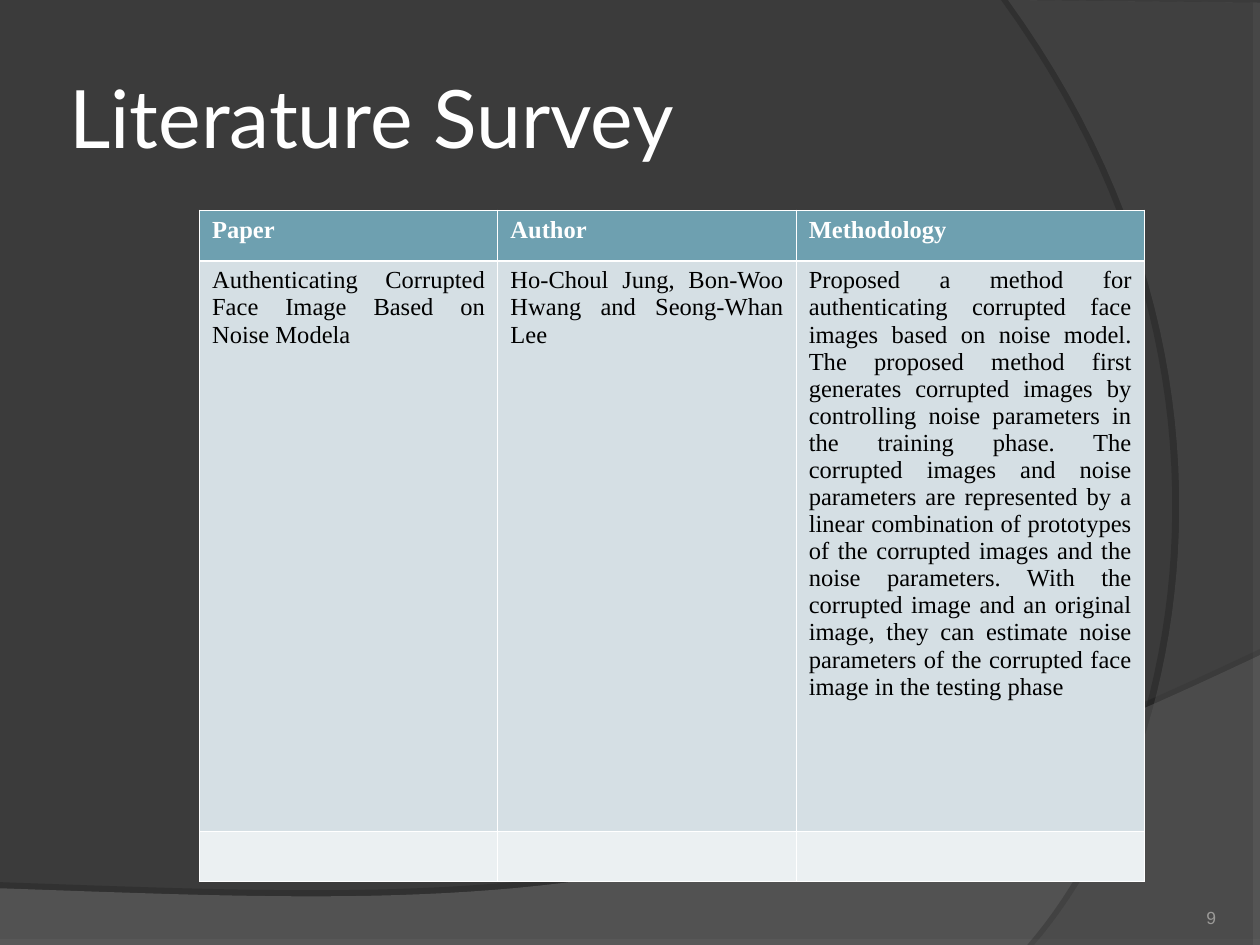
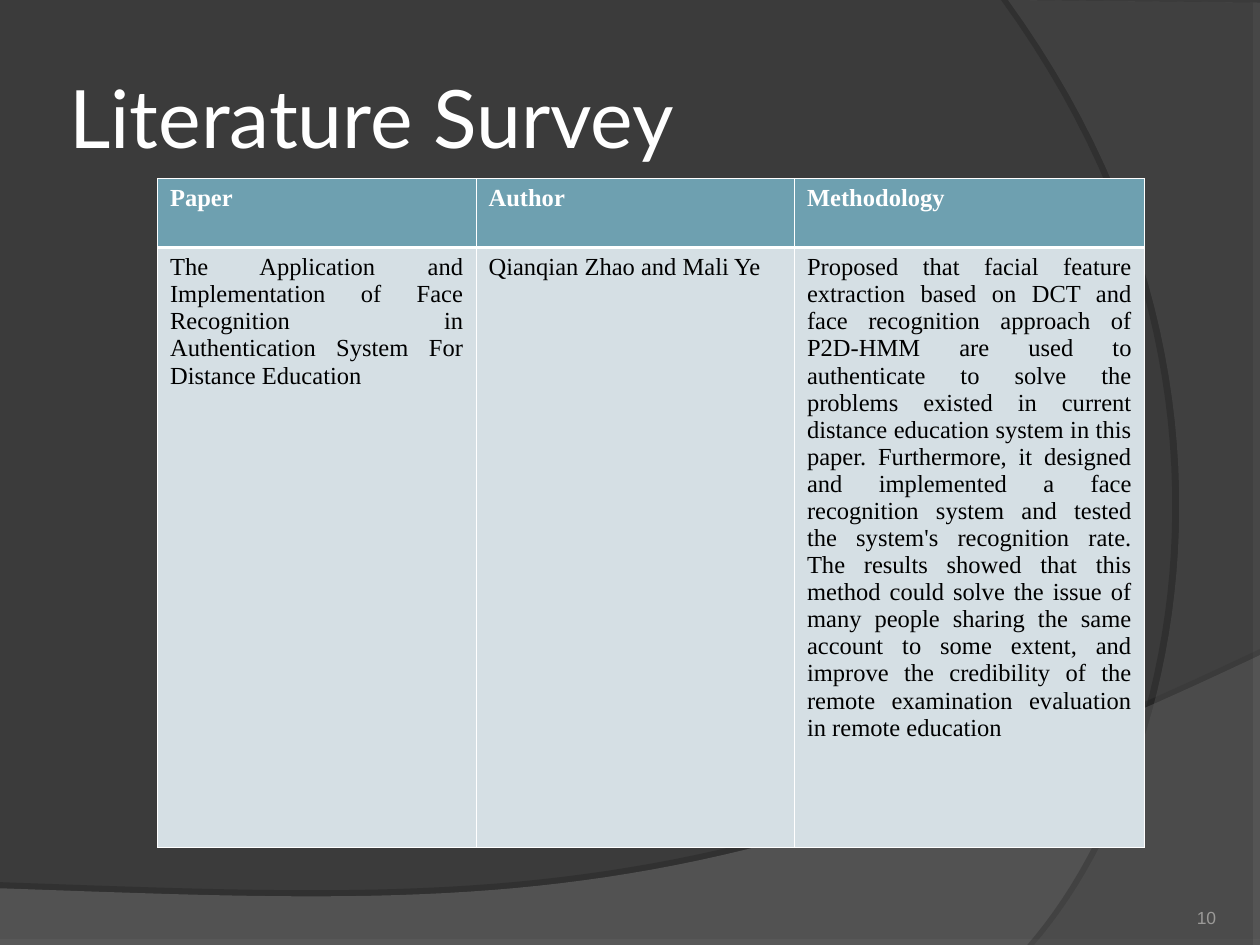
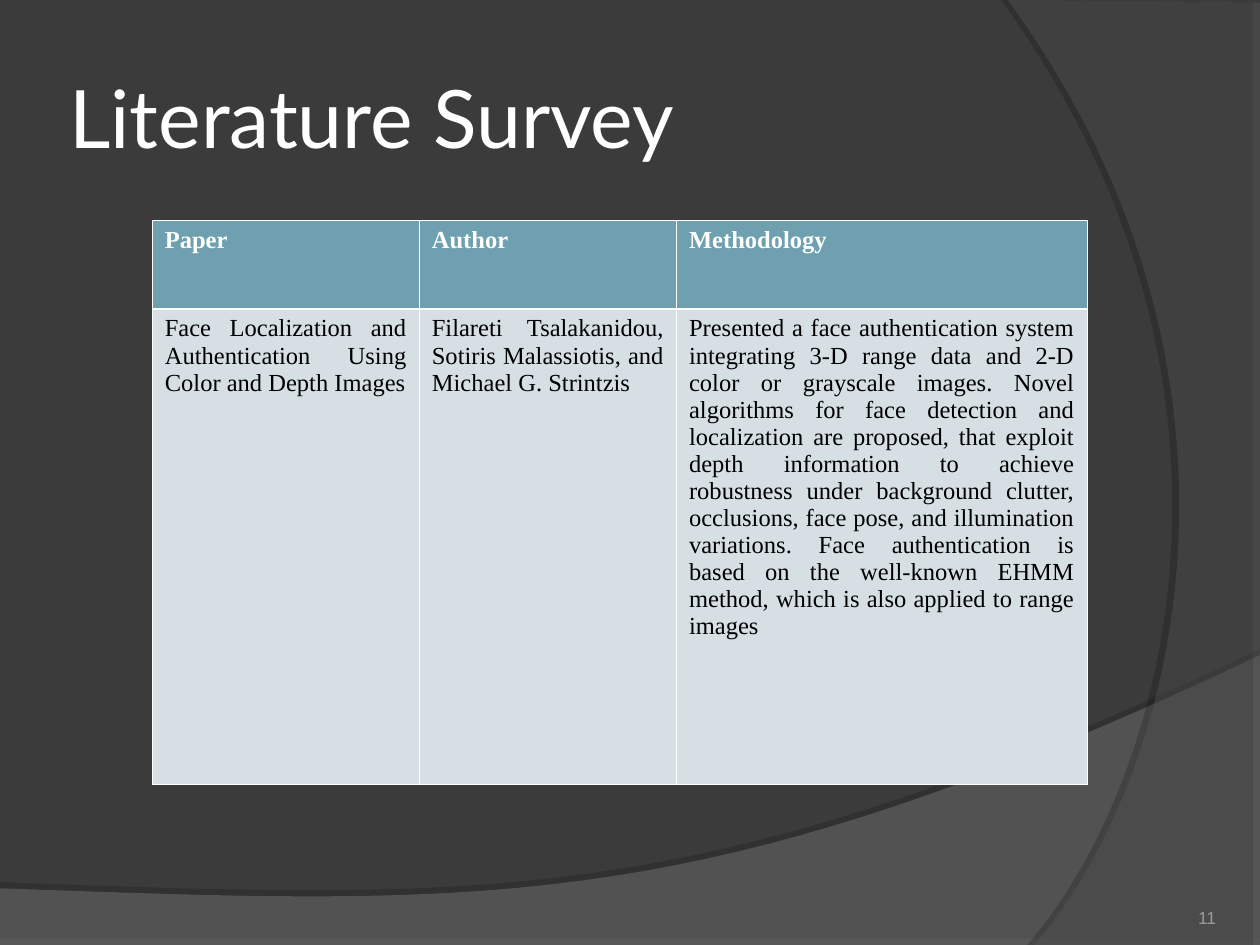
from lxml import etree
from pptx import Presentation
from pptx.dml.color import RGBColor
from pptx.enum.text import MSO_ANCHOR, PP_ALIGN
from pptx.oxml.ns import qn
from pptx.util import Pt

LEFT, RIGHT, JUSTIFY = PP_ALIGN.LEFT, PP_ALIGN.RIGHT, PP_ALIGN.JUSTIFY
MIDDLE, BOTTOM = MSO_ANCHOR.MIDDLE, MSO_ANCHOR.BOTTOM

WIDTH, HEIGHT = 720, 540
COLORS = {
    "background": "3B3B3B",
    "wave": "7C7C7C",
    "arc": "595959",
    "shadow": "000000",
    "header": "6EA0B0",
    "body": "D5DFE4",
    "spare": "EBF0F2",
    "border": "FFFFFF",
    "light": "FFFFFF",
    "dark": "000000",
    "number": "9B9A98",
}
FORMATS = {
    "title": {"name": "Lato", "size": Pt(46), "color": "light"},
    "number": {"name": "Arial", "size": Pt(10), "color": "number"},
    "header": {"name": "Times New Roman", "size": Pt(14), "bold": True, "color": "light"},
    "body": {"name": "Times New Roman", "size": Pt(14), "bold": False, "color": "dark"},
}
THIN, THICK = 0.45, 1.47
CURVE_STEPS = 48
HEADINGS = ["Paper", "Author", "Methodology"]

# Each band: corner points, then the curve from the last corner, then its look
BANDS = [
    {
        "corners": [(0, 507.6), (0, HEIGHT), (WIDTH, HEIGHT), (WIDTH, 374.4)],
        "curve": [(402.5, 524.9), (281.5, 517.7), (0, 507.6)],
        "color": "wave", "opacity": 45,
        "shadow_opacity": 35, "distance": 3.5, "direction": 270,
    },
    {
        "corners": [(WIDTH, 1.5), (WIDTH, HEIGHT), (591, HEIGHT)],
        "curve": [(673, 445.5), (733, 216), (576, 0)],
        "color": "arc", "opacity": 40,
        "shadow_opacity": 45, "distance": 4, "direction": 180,
    },
]

SURVEYS = [
    {
        "number": 9, "position": (114, 120),
        "columns": [170.5, 170.5, 199], "rows": [29, 326, 24],
        "entry": [
            "Authenticating Corrupted Face Image Based on Noise Modela",
            "Ho-Choul Jung, Bon-Woo Hwang and Seong-Whan Lee",
            "Proposed a method for authenticating corrupted face images based on noise "
            "model. The proposed method first generates corrupted images by controlling "
            "noise parameters in the training phase. The corrupted images and noise "
            "parameters are represented by a linear combination of prototypes of the "
            "corrupted images and the noise parameters. With the corrupted image and an "
            "original image, they can estimate noise parameters of the corrupted face "
            "image in the testing phase",
        ],
    },
    {
        "number": 10, "position": (90, 102),
        "columns": [182, 182, 200], "rows": [39.5, 343],
        "entry": [
            "The Application and Implementation of Face Recognition in Authentication "
            "System For Distance Education",
            "Qianqian Zhao and Mali Ye",
            "Proposed that facial feature extraction based on DCT and face recognition "
            "approach of P2D-HMM are used to authenticate to solve the problems existed "
            "in current distance education system in this paper. Furthermore, it designed "
            "and implemented a face recognition system and tested the system's "
            "recognition rate. The results showed that this method could solve the issue "
            "of many people sharing the same account to some extent, and improve the "
            "credibility of the remote examination evaluation in remote education",
        ],
    },
    {
        "number": 11, "position": (87, 126),
        "columns": [152.6, 147, 234.6], "rows": [50.5, 272],
        "entry": [
            "Face Localization and Authentication Using Color and Depth Images",
            "Filareti Tsalakanidou, Sotiris Malassiotis, and Michael G. Strintzis",
            "Presented a face authentication system integrating 3-D range data and 2-D "
            "color or grayscale images. Novel algorithms for face detection and "
            "localization are proposed, that exploit depth information to achieve "
            "robustness under background clutter, occlusions, face pose, and illumination "
            "variations. Face authentication is based on the well-known EHMM method, "
            "which is also applied to range images",
        ],
    },
]


def color(name):
    return RGBColor.from_string(COLORS[name])


def add_xml(parent, tag, **attributes):
    values = {key: str(value) for key, value in attributes.items()}
    return etree.SubElement(parent, qn(tag), values)


def curve_points(start, first, second, end):
    """Points along a cubic curve, without its start."""
    points = []
    for step in range(1, CURVE_STEPS + 1):
        t = step / CURVE_STEPS
        weights = ((1 - t) ** 3, 3 * t * (1 - t) ** 2, 3 * t**2 * (1 - t), t**3)
        points.append(tuple(
            sum(weight * value for weight, value in zip(weights, axis))
            for axis in zip(start, first, second, end)
        ))
    return points


class Deck:
    def __init__(self):
        self.presentation = Presentation()
        self.presentation.slide_width = Pt(WIDTH)
        self.presentation.slide_height = Pt(HEIGHT)
        self.slide = None

    def new_slide(self, title, number):
        self.slide = self.presentation.slides.add_slide(self.presentation.slide_layouts[6])
        fill = self.slide.background.fill
        fill.solid()
        fill.fore_color.rgb = color("background")
        for band in BANDS:
            self.band(band)
        self.text(title, "title", (36, 21.6, 588, 90), LEFT, MIDDLE, 3.6)
        self.text(str(number), "number", (642, 505.5, 60, 28.5), RIGHT, BOTTOM, 7.2)

    def band(self, band):
        corners = band["corners"]
        points = corners + curve_points(corners[-1], *band["curve"])
        points = [(Pt(x), Pt(y)) for x, y in points]
        builder = self.slide.shapes.build_freeform(*points[0])
        builder.add_line_segments(points[1:], close=True)
        shape = builder.convert_to_shape()
        shape.fill.solid()
        shape.fill.fore_color.rgb = color(band["color"])
        shape.line.fill.background()
        shape.shadow.inherit = False
        # Transparency and edge shadow
        properties = shape.element.spPr
        fill_color = properties.find(qn("a:solidFill")).find(qn("a:srgbClr"))
        add_xml(fill_color, "a:alpha", val=band["opacity"] * 1000)
        shadow = add_xml(
            properties.find(qn("a:effectLst")), "a:outerShdw", blurRad=0,
            dist=Pt(band["distance"]), dir=band["direction"] * 60000,
            algn="ctr", rotWithShape=0,
        )
        shadow_color = add_xml(shadow, "a:srgbClr", val=COLORS["shadow"])
        add_xml(shadow_color, "a:alpha", val=band["shadow_opacity"] * 1000)

    def text(self, text, style, box, alignment, anchor, side_margin):
        frame = self.slide.shapes.add_textbox(*map(Pt, box)).text_frame
        settings = {
            "word_wrap": True, "vertical_anchor": anchor,
            "margin_left": Pt(side_margin), "margin_right": Pt(side_margin),
            "margin_top": Pt(3.6), "margin_bottom": Pt(3.6),
        }
        for name, value in settings.items():
            setattr(frame, name, value)
        self.fill_text(frame, text, style, alignment)

    def fill_text(self, frame, text, style, alignment):
        paragraph = frame.paragraphs[0]
        paragraph.alignment = alignment
        run = paragraph.add_run()
        run.text = text
        for name, value in FORMATS[style].items():
            if name == "color":
                run.font.color.rgb = color(value)
            else:
                setattr(run.font, name, value)

    def table(self, position, columns, rows, contents):
        size = (sum(columns), sum(rows))
        table = self.slide.shapes.add_table(
            len(rows), len(columns), *map(Pt, position + size)).table
        table.horz_banding = False
        for column, width in zip(table.columns, columns):
            column.width = Pt(width)
        for index, (row, height) in enumerate(zip(table.rows, rows)):
            row.height = Pt(height)
            style = ("header", "body", "spare")[index]
            for column_index, cell in enumerate(row.cells):
                self.borders(cell, index)
                cell.fill.solid()
                cell.fill.fore_color.rgb = color(style)
                if index < len(contents):
                    self.fill_text(cell.text_frame, contents[index][column_index],
                                   style, JUSTIFY)

    def borders(self, cell, row_index):
        widths = {
            "a:lnL": THIN,
            "a:lnR": THIN,
            "a:lnT": THICK if row_index == 1 else THIN,
            "a:lnB": THICK if row_index == 0 else THIN,
        }
        properties = cell._tc.get_or_add_tcPr()
        for tag, width in widths.items():
            line = add_xml(properties, tag, w=Pt(width))
            add_xml(add_xml(line, "a:solidFill"), "a:srgbClr", val=COLORS["border"])


def main():
    deck = Deck()
    for survey in SURVEYS:
        deck.new_slide("Literature Survey", survey["number"])
        deck.table(survey["position"], survey["columns"], survey["rows"],
                   [HEADINGS, survey["entry"]])
    deck.presentation.save("out.pptx")


if __name__ == "__main__":
    main()
